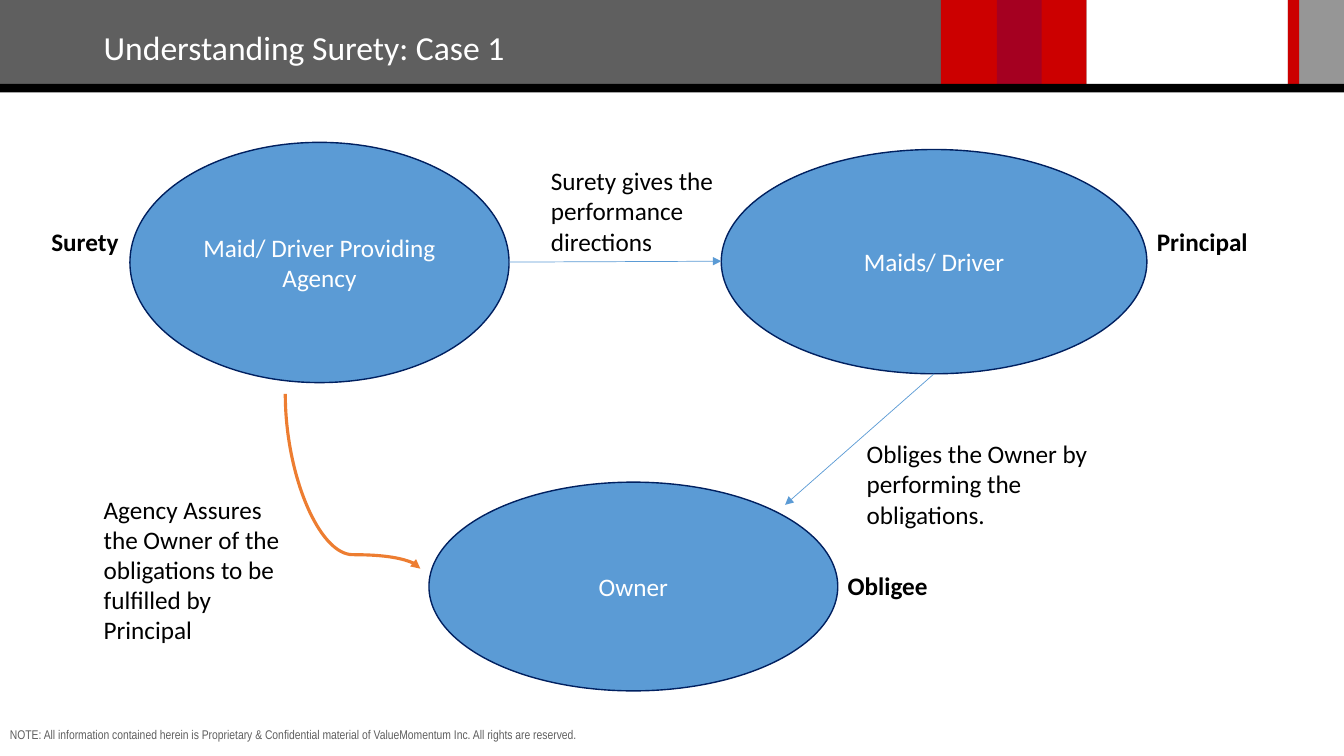
from dataclasses import dataclass

from lxml.etree import SubElement
from pptx import Presentation
from pptx.dml.color import RGBColor
from pptx.enum.shapes import MSO_CONNECTOR, MSO_SHAPE
from pptx.enum.text import MSO_ANCHOR, MSO_AUTO_SIZE, PP_ALIGN
from pptx.oxml.ns import qn
from pptx.util import Inches, Pt

SLIDE_WIDTH, SLIDE_HEIGHT = Inches(13.33), Inches(7.5)
COLUMNS, ROWS = 120, 90


@dataclass(frozen=True)
class Theme:
    slate: str = "5F5F5F"
    silver: str = "969696"
    red: str = "CC0000"
    crimson: str = "A50021"
    black: str = "000000"
    white: str = "FFFFFF"
    blue: str = "5B9BD5"
    navy: str = "002060"
    orange: str = "ED7D31"
    font: str = "Calibri"
    note_font: str = "Arial Narrow"
    title_size: int = 24
    body_size: int = 18
    note_size: int = 9


THEME = Theme()


def col(count):
    return round(SLIDE_WIDTH * count / COLUMNS)


def row(count):
    return round(SLIDE_HEIGHT * count / ROWS)


def grid_box(left, top, width, height):
    return col(left), row(top), col(width), row(height)


def apply_format(target, values):
    for name, value in values.items():
        setattr(target, name, value)


def write(frame, words, color, size=THEME.body_size, font=THEME.font, bold=False):
    paragraph = frame.paragraphs[0]
    run = paragraph.add_run()
    run.text = words
    apply_format(run.font, {"name": font, "size": Pt(size), "bold": bold})
    run.font.color.rgb = RGBColor.from_string(color)
    return paragraph


def add_filled(slide, kind, place, fill):
    shape = slide.shapes.add_shape(kind, *grid_box(*place))
    shape.shadow.inherit = False
    shape.fill.solid()
    shape.fill.fore_color.rgb = RGBColor.from_string(fill)
    return shape


def add_band(slide, place, fill):
    add_filled(slide, MSO_SHAPE.RECTANGLE, place, fill).line.fill.background()


def add_party(slide, place, words):
    party = add_filled(slide, MSO_SHAPE.OVAL, place, THEME.blue)
    party.line.color.rgb = RGBColor.from_string(THEME.navy)
    party.line.width = Pt(1)
    apply_format(party.text_frame, {"word_wrap": True, "vertical_anchor": MSO_ANCHOR.MIDDLE})
    write(party.text_frame, words, THEME.white).alignment = PP_ALIGN.CENTER


def add_text(slide, place, words, color=THEME.black, **style):
    frame = slide.shapes.add_textbox(*grid_box(*place)).text_frame
    apply_format(frame, {"word_wrap": True, "auto_size": MSO_AUTO_SIZE.SHAPE_TO_FIT_TEXT})
    write(frame, words, color, **style)


def finish_arrow(arrow, color, width):
    arrow.line.color.rgb = RGBColor.from_string(color)
    arrow.line.width = Pt(width)
    SubElement(arrow.line._get_or_add_ln(), qn("a:tailEnd"), type="triangle")
    SubElement(arrow._element.spPr, qn("a:effectLst"))


def add_straight_arrow(slide, start, end):
    arrow = slide.shapes.add_connector(
        MSO_CONNECTOR.STRAIGHT, col(start[0]), row(start[1]), col(end[0]), row(end[1]))
    finish_arrow(arrow, THEME.blue, 0.5)


def add_downward_curve(slide, start, end, bend):
    """Curve that leaves downwards: a flipped connector turned by 270 degrees."""
    (x1, y1), (x2, y2) = [(col(x), row(y)) for x, y in (start, end)]
    center_x, center_y = (x1 + x2) // 2, (y1 + y2) // 2
    half_run, half_rise = (y2 - y1) // 2, (x2 - x1) // 2
    curve = slide.shapes.add_connector(
        MSO_CONNECTOR.CURVE, center_x + half_run, center_y - half_rise,
        center_x - half_run, center_y + half_rise)
    properties = curve._element.spPr
    properties.find(qn("a:xfrm")).set("rot", str(270 * 60000))
    adjustments = properties.find(qn("a:prstGeom")).find(qn("a:avLst"))
    SubElement(adjustments, qn("a:gd"), name="adj1", fmla=f"val {round(bend * 100000)}")
    finish_arrow(curve, THEME.orange, 2.25)


def main():
    deck = Presentation()
    apply_format(deck, {"slide_width": SLIDE_WIDTH, "slide_height": SLIDE_HEIGHT})
    slide = deck.slides.add_slide(deck.slide_layouts[6])

    # Header bands: left, width, colour
    for left, width, fill in (
        (0, 97, THEME.slate),
        (84, 13, THEME.red),
        (115, 5, THEME.silver),
        (89, 4, THEME.crimson),
        (115, 1, THEME.red),
    ):
        add_band(slide, (left, 0, width, 10), fill)
    add_band(slide, (0, 10, COLUMNS, 1), THEME.black)

    # Title and footer note
    add_text(slide, (8.37, 2.64, 48.7, 6), "Understanding Surety: Case 1",
             THEME.white, size=THEME.title_size)
    add_text(slide, (0, 86, 119, 3),
             "NOTE: All information contained herein is Proprietary & Confidential material of "
             "ValueMomentum Inc. All rights are reserved.",
             THEME.slate, size=THEME.note_size, font=THEME.note_font)

    # Parties
    add_party(slide, (11.6, 16.95, 33.85, 28.6), "Maid/ Driver Providing Agency")
    add_party(slide, (64.4, 17.8, 38, 26.7), "Maids/ Driver")
    add_party(slide, (38.3, 57.4, 36.5, 24.85), "Owner")

    # Roles
    for left, top, width, role in (
        (3.7, 26.3, 9.3, "Surety"),
        (102.4, 26.3, 17, "Principal"),
        (74.8, 67.3, 12, "Obligee"),
    ):
        add_text(slide, (left, top, width, 4.8), role, bold=True)

    # Duties between the parties
    add_downward_curve(slide, (25.47, 46.9), (37.53, 67.7), bend=0.92)
    add_straight_arrow(slide, (45.45, 31.2), (64.4, 31.1))
    add_straight_arrow(slide, (83.4, 44.5), (70.1, 60.1))
    for place, duty in (
        ((8.37, 58.2, 19.4, 19.4),
         "Agency Assures the Owner of the obligations to be fulfilled by Principal"),
        ((76.5, 51.6, 25, 12.1), "Obliges the Owner by performing the obligations."),
        ((48.3, 19.1, 18.9, 12.1), "Surety gives the performance directions"),
    ):
        add_text(slide, place, duty)

    deck.save("out.pptx")


if __name__ == "__main__":
    main()
